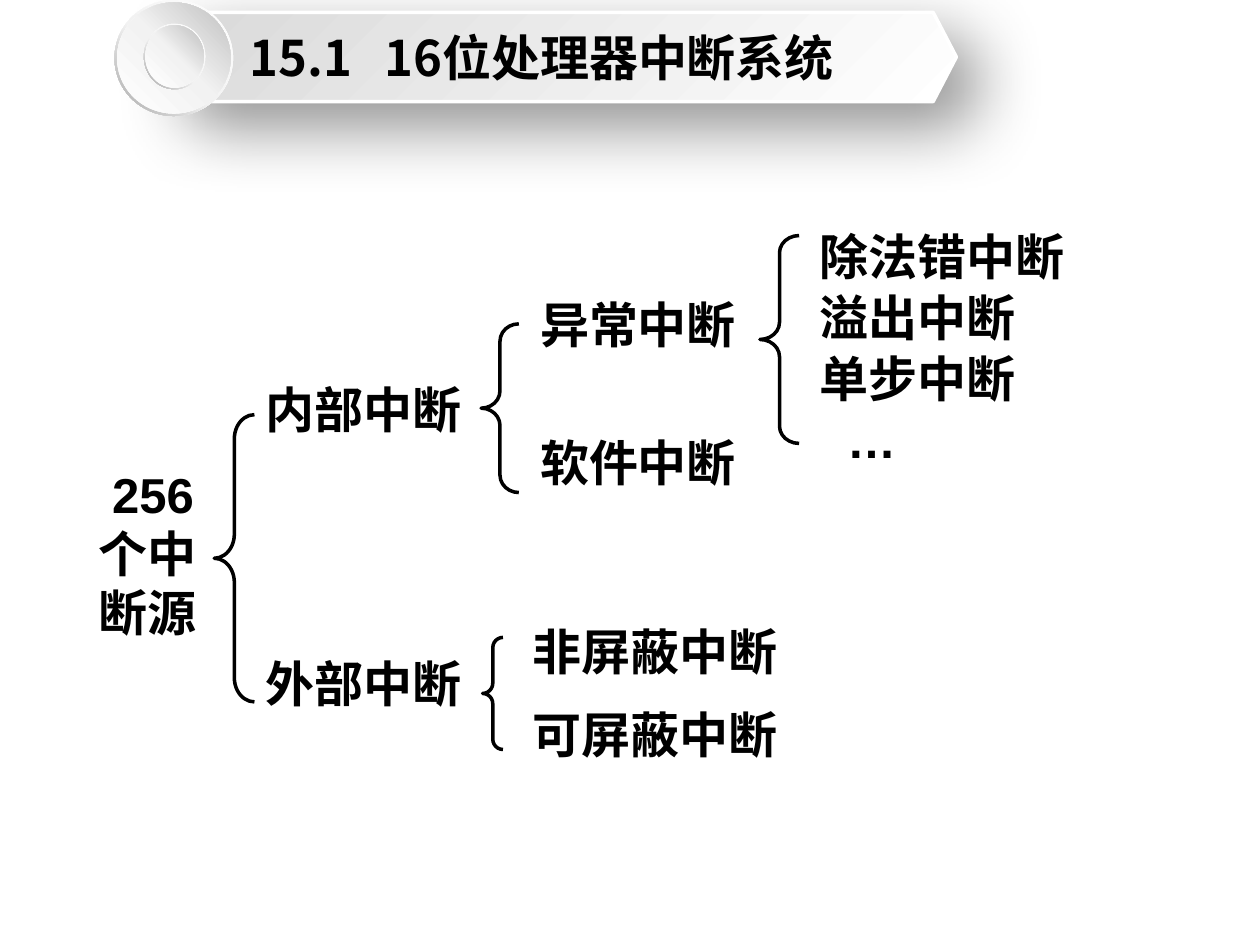
from dataclasses import dataclass

from lxml.etree import SubElement
from pptx import Presentation
from pptx.dml.color import RGBColor
from pptx.enum.shapes import MSO_SHAPE as Preset
from pptx.enum.text import MSO_ANCHOR as Anchor, PP_ALIGN as Align
from pptx.oxml.ns import qn
from pptx.util import Cm, Pt


@dataclass(frozen=True)
class Theme:
    ink: str = "000000"
    edge: str = "FFFFFF"
    ribbon: tuple = ((0, "FFFFFF"), (100, "D9D9D9"))
    ring: tuple = ((0, "FFFFFF"), (55, "F2F2F2"), (100, "A6A6A6"))
    face: tuple = ((0, "FFFFFF"), (51, "F2F2F2"), (100, "BFBFBF"))
    size: float = 28
    pitch: float = 33.5
    stroke: float = 2
    title_font: str = "Noto Sans CJK SC"
    body_font: str = "Arial"


class SlideBuilder:
    def __init__(self, page, theme):
        self.page = page
        self.theme = theme

    def style(self, para, name):
        font = para.font
        font.size, font.bold = Pt(self.theme.size), True
        font.color.rgb = RGBColor.from_string(self.theme.ink)
        font.name = name

    def shape(self, preset, place, adjust=None):
        shape = self.page.shapes.add_shape(preset, *map(Cm, place))
        shape.shadow.inherit = False
        if adjust is not None:
            shape.adjustments[0] = adjust
        return shape

    def outline(self, shape, color):
        shape.line.color.rgb = RGBColor.from_string(color)
        shape.line.width = Pt(self.theme.stroke)

    def gradient(self, shape, stops, angle):
        shape.fill.gradient()
        grad = shape.fill._xPr.find(qn("a:gradFill"))
        stop_list = grad.find(qn("a:gsLst"))
        for old in list(stop_list):
            stop_list.remove(old)
        for position, color in stops:
            stop = SubElement(stop_list, qn("a:gs"), pos=str(position * 1000))
            SubElement(stop, qn("a:srgbClr"), val=color)
        grad.find(qn("a:lin")).set("ang", str(angle * 60000))

    def drop_shadow(self, shape, blur, distance, angle, opacity):
        effects = shape._element.spPr.find(qn("a:effectLst"))
        shadow = SubElement(
            effects, qn("a:outerShdw"), blurRad=str(Pt(blur)),
            dist=str(Pt(distance)), dir=str(angle * 60000), rotWithShape="0")
        color = SubElement(shadow, qn("a:srgbClr"), val=self.theme.ink)
        SubElement(color, qn("a:alpha"), val=str(opacity * 1000))

    def ribbon(self, place, number, title):
        shape = self.shape(Preset.HEXAGON, place, 0.26)
        self.gradient(shape, self.theme.ribbon, 225)
        self.outline(shape, self.theme.edge)
        self.drop_shadow(shape, blur=38, distance=19, angle=45, opacity=42)
        frame = shape.text_frame
        frame.word_wrap, frame.vertical_anchor = True, Anchor.MIDDLE
        frame.margin_left, frame.margin_right = Cm(0.43), 0
        frame.margin_top = frame.margin_bottom = 0
        para = frame.paragraphs[0]
        para.text = f"{number}\t{title}"
        para.alignment = Align.LEFT
        # The title starts at a tab stop after its number
        props = para._p.get_or_add_pPr()
        tabs = SubElement(props, qn("a:tabLst"))
        SubElement(tabs, qn("a:tab"), pos=str(Cm(2.72)), algn="l")
        self.style(para, self.theme.title_font)
        SubElement(props.find(qn("a:defRPr")), qn("a:ea"),
                   typeface=self.theme.title_font)

    def disc(self, left, top, width, height, rim):
        ring = self.shape(Preset.DONUT, (left, top, width, height), 0.05)
        self.gradient(ring, self.theme.ring, 135)
        face = self.shape(Preset.OVAL, (left + rim, top + rim,
                                        width - 2 * rim, height - 2 * rim))
        self.gradient(face, self.theme.face, 315)
        for part in (ring, face):
            part.line.fill.background()

    def brace(self, place, curl):
        shape = self.shape(Preset.LEFT_BRACE, place, curl)
        shape.fill.background()
        self.outline(shape, self.theme.ink)

    def labels(self, place, lines, gap=0, pitch=None):
        box = self.page.shapes.add_textbox(*map(Cm, place))
        frame = box.text_frame
        frame.word_wrap = True
        for index, line in enumerate(lines):
            para = frame.paragraphs[0] if index == 0 else frame.add_paragraph()
            para.text = line
            para.line_spacing = Pt(pitch or self.theme.pitch)
            if index:
                para.space_before = Pt(gap)
            self.style(para, self.theme.body_font)
        return frame.paragraphs

    def first_indent(self, para, amount):
        para._p.get_or_add_pPr().set("indent", str(Cm(amount)))


def main():
    deck = Presentation()
    deck.slide_width, deck.slide_height = Cm(25.4), Cm(19.05)
    page = deck.slides.add_slide(deck.slide_layouts[6])
    slide = SlideBuilder(page, Theme())

    # Title ribbon with its button
    slide.ribbon((3.1, 0.25, 16.18, 1.8), "15.1", "16位处理器中断系统")
    slide.disc(2.31, 0, 2.39, 2.34, rim=0.05)
    slide.disc(2.9, 0.48, 1.24, 1.32, rim=0.03)

    # Root of the tree
    root = slide.labels((1.73, 9.25, 2.97, 3.81), ["256个中断源"])
    slide.first_indent(root[0], 0.28)

    # Internal and external interrupts
    slide.brace((4.32, 8.36, 0.81, 5.79), 0.6)
    slide.labels((5.11, 7.52, 7.82, 8.26), ["内部中断", "外部中断"], gap=123.5)

    # Internal branch
    slide.brace((9.7, 6.53, 0.76, 3.4), 0.46)
    slide.labels((10.64, 6.12, 5.05, 4.11), ["异常中断", "软件中断"],
                 gap=54, pitch=25)

    # External branch
    slide.brace((9.73, 12.85, 0.41, 2.26), 0.51)
    slide.labels((10.49, 12.4, 5.72, 3.23), ["非屏蔽中断", "可屏蔽中断"], gap=14)

    # Exceptions
    slide.brace((15.32, 4.75, 0.79, 4.19), 0.44)
    exceptions = slide.labels((16.28, 4.45, 6.22, 5.23),
                              ["除法错中断", "溢出中断", "单步中断", "…"], gap=1.4)
    slide.first_indent(exceptions[-1], 0.55)

    deck.save("out.pptx")


if __name__ == "__main__":
    main()
